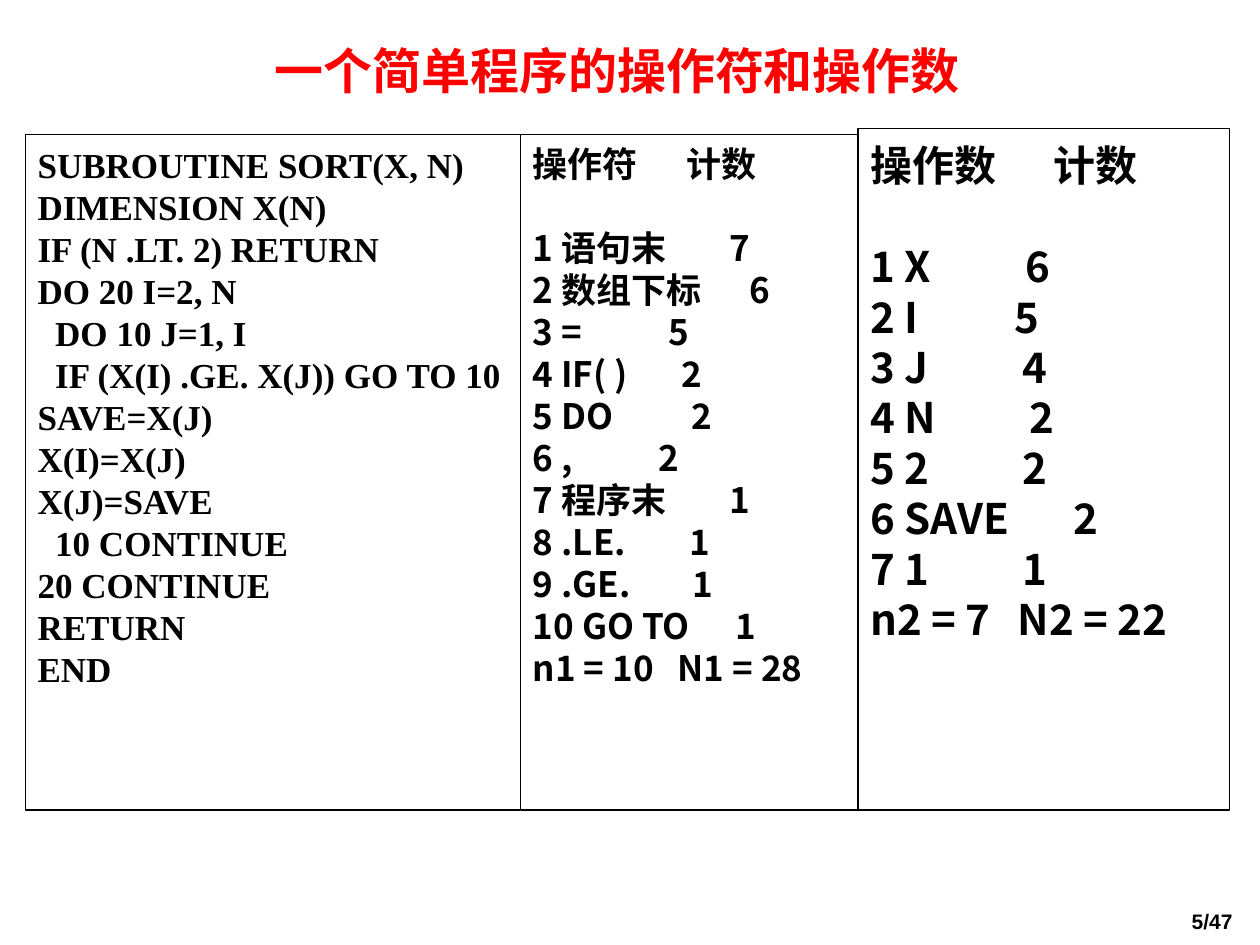
from pptx import Presentation
from pptx.dml.color import RGBColor
from pptx.enum.shapes import MSO_SHAPE
from pptx.enum.text import MSO_ANCHOR, MSO_AUTO_SIZE, PP_ALIGN
from pptx.oxml.ns import qn
from pptx.util import Inches, Pt
from lxml.etree import SubElement


def color(value):
    return RGBColor.from_string(value)


def write(para, text, font, size, tint="000000"):
    span = para.add_run()
    span.text = text
    style = {"name": font, "size": Pt(size), "bold": True}
    for key, value in style.items():
        setattr(span.font, key, value)
    span.font.color.rgb = color(tint)
    SubElement(span.font._element, qn("a:ea")).set("typeface", font)


SANS = "Noto Sans CJK SC"
SERIF = "Times New Roman"

program = [
    ("SUBROUTINE SORT(X, N)", 0), ("DIMENSION X(N)", 0),
    ("IF (N .LT. 2) RETURN", 0), ("DO 20 I=2, N", 0),
    ("DO 10 J=1, I", 0.14), ("IF (X(I) .GE. X(J)) GO TO 10", 0.14),
    ("SAVE=X(J)", 0), ("X(I)=X(J)", 0), ("X(J)=SAVE", 0),
    ("10 CONTINUE", 0.14), ("20 CONTINUE", 0), ("RETURN", 0), ("END", 0),
]
operators = [
    ("操作符\t计数", 1.22), ("1 语句末\t7", 1.56), ("2 数组下标\t6", 1.72),
    ("3 =\t5", 1.08), ("4 IF( )\t2", 1.18), ("5 DO\t2", 1.26),
    ("6 ,\t2", 1), ("7 程序末\t1", 1.56), ("8 .LE.\t1", 1.24),
    ("9 .GE.\t1", 1.27), ("10 GO TO\t1", 1.61), ("n1 = 10\tN1 = 28", 1.15),
]
operands = [
    ("操作数\t计数", 1.45), ("1 X\t6", 1.23), ("2 I\t5", 1.14),
    ("3 J\t4", 1.21), ("4 N\t2", 1.26), ("5 2\t2", 1.21),
    ("6 SAVE\t2", 1.61), ("7 1\t1", 1.21), ("n2 = 7\tN2 = 22", 1.17),
]

edges = [0.2, 4.13, 6.81, 9.76]
bottom = 6.43
panels = [
    (program, 1.07, SERIF, 20, 0.07),
    (operators, 1.07, SANS, 20, 0.06),
    (operands, 1.02, SANS, 24, 0.09),
]

deck = Presentation()
deck.slide_width, deck.slide_height = Inches(10), Inches(7.5)
page = deck.slides.add_slide(deck.slide_layouts[5])

title = page.shapes.title
title.left, title.top = Inches(2.08), Inches(0.27)
title.width, title.height = Inches(5.72), Inches(0.57)
frame = title.text_frame
frame.word_wrap = False
frame.auto_size = MSO_AUTO_SIZE.NONE
frame.vertical_anchor = MSO_ANCHOR.MIDDLE
frame.paragraphs[0].alignment = PP_ALIGN.LEFT
write(frame.paragraphs[0], "一个简单程序的操作符和操作数", SANS, 28, "FF0000")

for left, right, (lines, top, font, size, inset) in zip(edges, edges[1:], panels):
    box = page.shapes.add_shape(
        MSO_SHAPE.RECTANGLE, Inches(left), Inches(top),
        Inches(right - left), Inches(bottom - top))
    box.shadow.inherit = False
    box.fill.solid()
    box.fill.fore_color.rgb = color("FFFFFF")
    box.line.color.rgb = color("000000")
    box.line.width = Pt(0.74)
    frame = box.text_frame
    frame.word_wrap = True
    frame.vertical_anchor = MSO_ANCHOR.TOP
    frame.margin_top = Inches(inset)
    pitch = Pt(size * 1.2)
    for index, (text, offset) in enumerate(lines):
        para = frame.add_paragraph() if index else frame.paragraphs[0]
        para.alignment = PP_ALIGN.JUSTIFY
        para.line_spacing = pitch
        if "\t" in text:
            if index == 0:
                para.space_after = pitch
            stops = SubElement(para._p.get_or_add_pPr(), qn("a:tabLst"))
            stop = SubElement(stops, qn("a:tab"))
            stop.set("pos", str(Inches(offset)))
            stop.set("algn", "l")
        elif offset:
            para._p.get_or_add_pPr().set("marL", str(Inches(offset)))
        write(para, text, font, size)

number = page.shapes.add_textbox(Inches(8.94), Inches(7.16), Inches(0.94), Inches(0.29))
number.text_frame.word_wrap = True
para = number.text_frame.paragraphs[0]
para.alignment = PP_ALIGN.RIGHT
write(para, "5/47", "Arial", 12)

deck.save("out.pptx")
